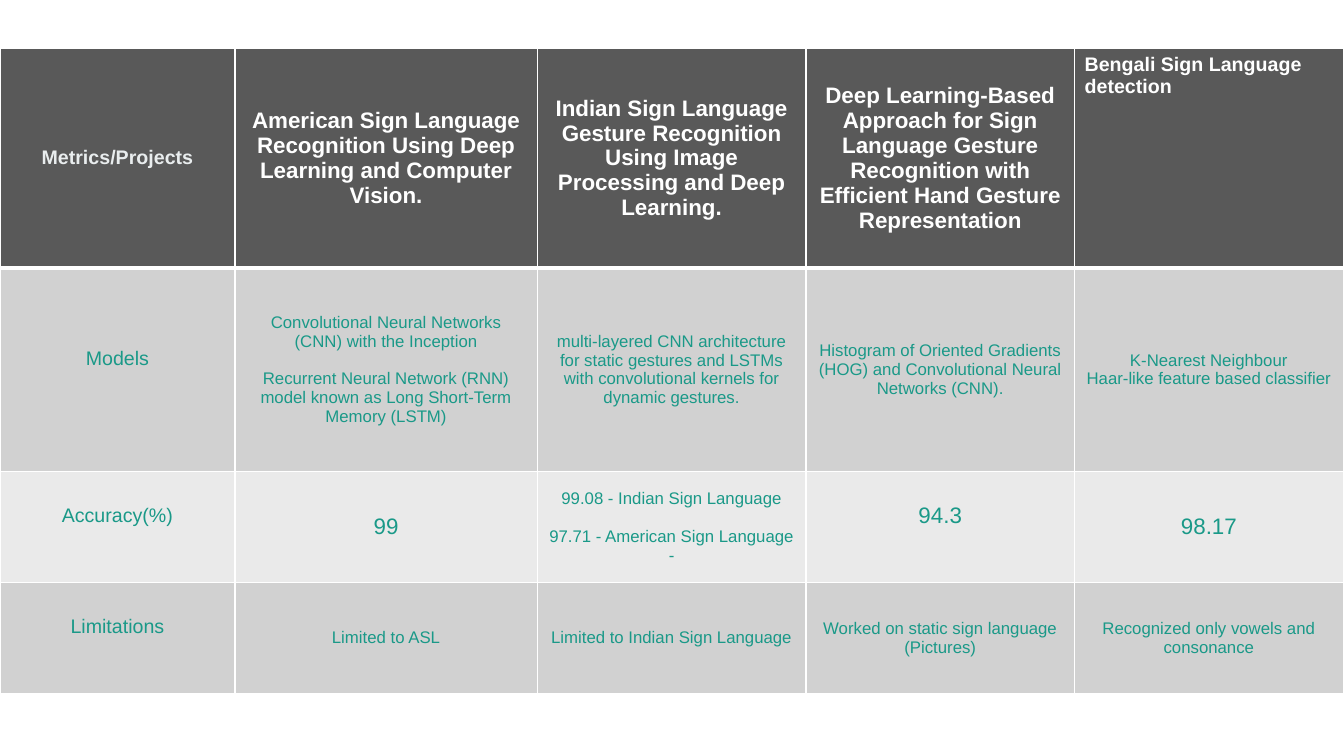
from lxml import etree
from pptx import Presentation
from pptx.dml.color import RGBColor
from pptx.enum.text import MSO_ANCHOR as Anchor, PP_ALIGN as Align
from pptx.oxml import parse_xml
from pptx.oxml.ns import nsdecls
from pptx.util import Cm, Pt

COLORS = {
    "header": "595959", "dark band": "D1D1D1", "light band": "EAEAEA",
    "rule": "FFFFFF", "heading": "FFFFFF", "corner": "E9EDEE", "body": "1A9988",
}

# Rows: fill, height in cm, text sizes by column, cell texts.
# A line break starts a paragraph; a double break adds a gap before it.
ROWS = [
    ("header", 5.53, [14, 16, 16, 16, 14], [
        "Metrics/Projects",
        "American Sign Language Recognition Using Deep Learning and Computer Vision.",
        "Indian Sign Language Gesture Recognition Using Image Processing and Deep Learning.",
        "Deep Learning-Based Approach for Sign Language Gesture Recognition with "
        "Efficient Hand Gesture Representation",
        "Bengali Sign Language detection"]),
    ("dark band", 5.13, [14, 12, 12, 12, 12], [
        "Models",
        "Convolutional Neural Networks (CNN) with the Inception\n\n"
        "Recurrent Neural Network (RNN) model known as Long Short-Term Memory (LSTM)",
        "multi-layered CNN architecture for static gestures and LSTMs with "
        "convolutional kernels for dynamic gestures.",
        "Histogram of Oriented Gradients (HOG) and Convolutional Neural Networks (CNN).",
        "K-Nearest Neighbour\nHaar-like feature based classifier"]),
    ("light band", 2.8, [14, 16, 12, 16, 16], [
        "Accuracy(%)",
        "99",
        "99.08 - Indian Sign Language\n\n97.71 - American Sign Language -",
        "94.3",
        "98.17"]),
    ("dark band", 2.8, [14, 12, 12, 12, 12], [
        "Limitations",
        "Limited to ASL",
        "Limited to Indian Sign Language",
        "Worked on static sign language\n(Pictures)",
        "Recognized only vowels and consonance"]),
]
COLUMN_WIDTHS = [5.92, 7.62, 6.77, 6.77, 6.77]
RAISED = {(1, 0), (2, 0), (3, 0), (2, 3)}  # texts set half a line above the middle


def set_borders(cell, widths):
    props = cell._tc.get_or_add_tcPr()
    for index, (side, width) in enumerate(widths.items()):
        props.insert(index, parse_xml(
            f'<a:ln{side} {nsdecls("a")} w="{Pt(width)}"><a:solidFill>'
            f'<a:srgbClr val="{COLORS["rule"]}"/></a:solidFill></a:ln{side}>'))


def fill_cell(cell, text, size, color, bold, align):
    frame = cell.text_frame
    paragraph = frame.paragraphs[0]
    for block_index, block in enumerate(text.split("\n\n")):
        for line_index, line in enumerate(block.split("\n")):
            if block_index or line_index:
                paragraph = frame.add_paragraph()
            if block_index and not line_index:
                paragraph.space_before = Pt(13.5)
            paragraph.alignment = align
            run = paragraph.add_run()
            run.text = line
            run.font.name = "Arial"
            run.font.size = Pt(size)
            run.font.bold = bold
            run.font.color.rgb = RGBColor.from_string(COLORS[color])


prs = Presentation()
prs.slide_width, prs.slide_height = Cm(33.87), Cm(19.05)
slide = prs.slides.add_slide(prs.slide_layouts[6])

# Comparison table
comparison = slide.shapes.add_table(
    len(ROWS), len(COLUMN_WIDTHS), Cm(0), Cm(1.22),
    Cm(sum(COLUMN_WIDTHS)), Cm(sum(row[1] for row in ROWS))).table
for column, width in zip(comparison.columns, COLUMN_WIDTHS):
    column.width = Cm(width)

# Cells
for r, (band, height, sizes, texts) in enumerate(ROWS):
    comparison.rows[r].height = Cm(height)
    for c, (size, text) in enumerate(zip(sizes, texts)):
        cell = comparison.cell(r, c)
        cell.fill.solid()
        cell.fill.fore_color.rgb = RGBColor.from_string(COLORS[band])
        set_borders(cell, {"L": 1, "R": 1, "T": 3 if r == 1 else 1, "B": 3 if r == 0 else 1})

        at_top = (r, c) == (0, 4)
        cell.vertical_anchor = Anchor.TOP if at_top else Anchor.MIDDLE
        if (r, c) in RAISED:
            cell.margin_bottom = Cm(0.69)
        color = "body" if r else "heading" if c else "corner"
        fill_cell(cell, text, size, color, r == 0, Align.LEFT if at_top else Align.CENTER)

prs.save("out.pptx")
